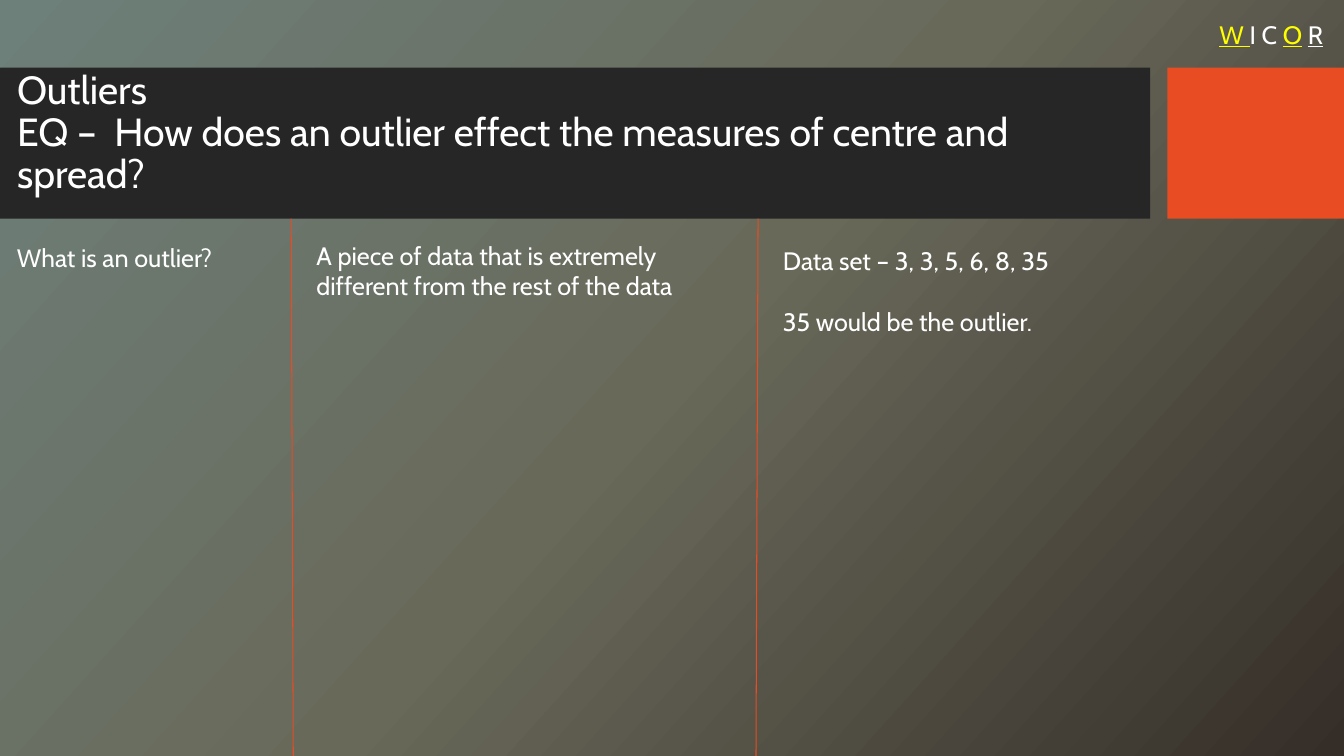
from copy import deepcopy

from pptx import Presentation
from pptx.dml.color import RGBColor
from pptx.enum.shapes import MSO_CONNECTOR as CONN, MSO_SHAPE as SHAPE
from pptx.enum.text import MSO_ANCHOR as ANCHOR, MSO_AUTO_SIZE as AUTO, PP_ALIGN as ALIGN
from pptx.oxml.ns import qn
from pptx.util import Pt

FONT = "Cabin"
WHITE, YELLOW, ORANGE, DARK = "FFFFFF", "FFFF00", "E84C22", "262626"
BAND_TOP, BAND_HEIGHT = 48.24, 108
SLIDE_WIDTH, SLIDE_HEIGHT = 960, 540


def rgb(color):
    return RGBColor.from_string(color)


def set_background(s, stops, angle):
    """Fill the background with (percent, colour) stops, angle clockwise."""
    fill = s.background.fill
    fill.gradient()
    fill.gradient_angle = 360 - angle
    gs_list = s.background._cSld.find(".//" + qn("a:gsLst"))
    while len(gs_list) < len(stops):
        gs_list.append(deepcopy(gs_list[0]))
    for stop, (percent, color) in zip(fill.gradient_stops, stops):
        stop.position = percent / 100
        stop.color.rgb = rgb(color)


def add_block(s, left, width, color):
    sp = s.shapes.add_shape(SHAPE.RECTANGLE, Pt(left), Pt(BAND_TOP), Pt(width), Pt(BAND_HEIGHT))
    sp.shadow.inherit = False
    sp.fill.solid()
    sp.fill.fore_color.rgb = rgb(color)
    sp.line.fill.background()


def add_divider(s, top_x, bottom_x):
    line = s.shapes.add_connector(CONN.STRAIGHT, Pt(top_x), Pt(BAND_TOP + BAND_HEIGHT),
                                  Pt(bottom_x), Pt(SLIDE_HEIGHT))
    line.line.color.rgb = rgb(ORANGE)
    line.line.width = Pt(0.75)
    sp_pr = line._element.spPr
    sp_pr.append(sp_pr.makeelement(qn("a:effectLst"), {}))


def add_run(p, text, size=18, color=WHITE, underline=False):
    r = p.add_run()
    r.text = text
    r.font.name = FONT
    r.font.size = Pt(size)
    r.font.color.rgb = rgb(color)
    r.font.underline = underline


def write(tf, paragraphs, gap=0, spacing=1.0, **fmt):
    """Write paragraphs, each a string or a list of (text, format) runs."""
    for i, content in enumerate(paragraphs):
        p = tf.add_paragraph() if i else tf.paragraphs[0]
        p.alignment = ALIGN.LEFT
        p.line_spacing = spacing
        p.space_before = Pt(gap if i else 0)
        runs = [(content, {})] if isinstance(content, str) else content
        for text, own in runs:
            add_run(p, text, **{**fmt, **own})


def add_text(s, left, top, width, height, paragraphs, wrap=False, **fmt):
    sp = s.shapes.add_textbox(Pt(left), Pt(top), Pt(width), Pt(height))
    tf = sp.text_frame
    tf.word_wrap = wrap
    tf.auto_size = AUTO.SHAPE_TO_FIT_TEXT
    write(tf, paragraphs, **fmt)


def set_title(s, paragraphs):
    sp = s.shapes.title
    sp.left, sp.top, sp.width, sp.height = Pt(5), Pt(46), Pt(756.7), Pt(99)
    tf = sp.text_frame
    tf.word_wrap = True
    tf.auto_size = AUTO.NONE
    tf.vertical_anchor = ANCHOR.MIDDLE
    write(tf, paragraphs, size=28, spacing=0.9)
    # Bring the title in front of the band
    s.shapes._spTree.append(sp._element)


def main():
    prs = Presentation()
    prs.slide_width, prs.slide_height = Pt(SLIDE_WIDTH), Pt(SLIDE_HEIGHT)
    s = prs.slides.add_slide(prs.slide_layouts[5])
    set_background(s, [(0, "6D807A"), (50, "69695A"), (100, "352E28")], 42)

    add_block(s, 0, 821.5, DARK)
    add_block(s, 833.8, 126.2, ORANGE)
    add_divider(s, 208, 209.5)
    add_divider(s, 541.5, 540)

    marked = {"color": YELLOW, "underline": True}
    add_text(s, 864, 10, 90.7, 28.8, [[
        ("W ", marked), ("I C ", {}), ("O", marked), (" ", {}), ("R", {"underline": True})]])
    set_title(s, ["Outliers",
                  "EQ –  How does an outlier effect the measures of centre and spread?"])
    add_text(s, 5, 169.2, 166.3, 28.8, ["What is an outlier?"])
    add_text(s, 218.9, 167.8, 310.3, 51,
             ["A piece of data that is extremely different from the rest of the data"], wrap=True)
    add_text(s, 552.2, 172, 227.5, 72.7,
             ["Data set – 3, 3, 5, 6, 8, 35", "35 would be the outlier."], gap=21.6)

    prs.save("out.pptx")


if __name__ == "__main__":
    main()
